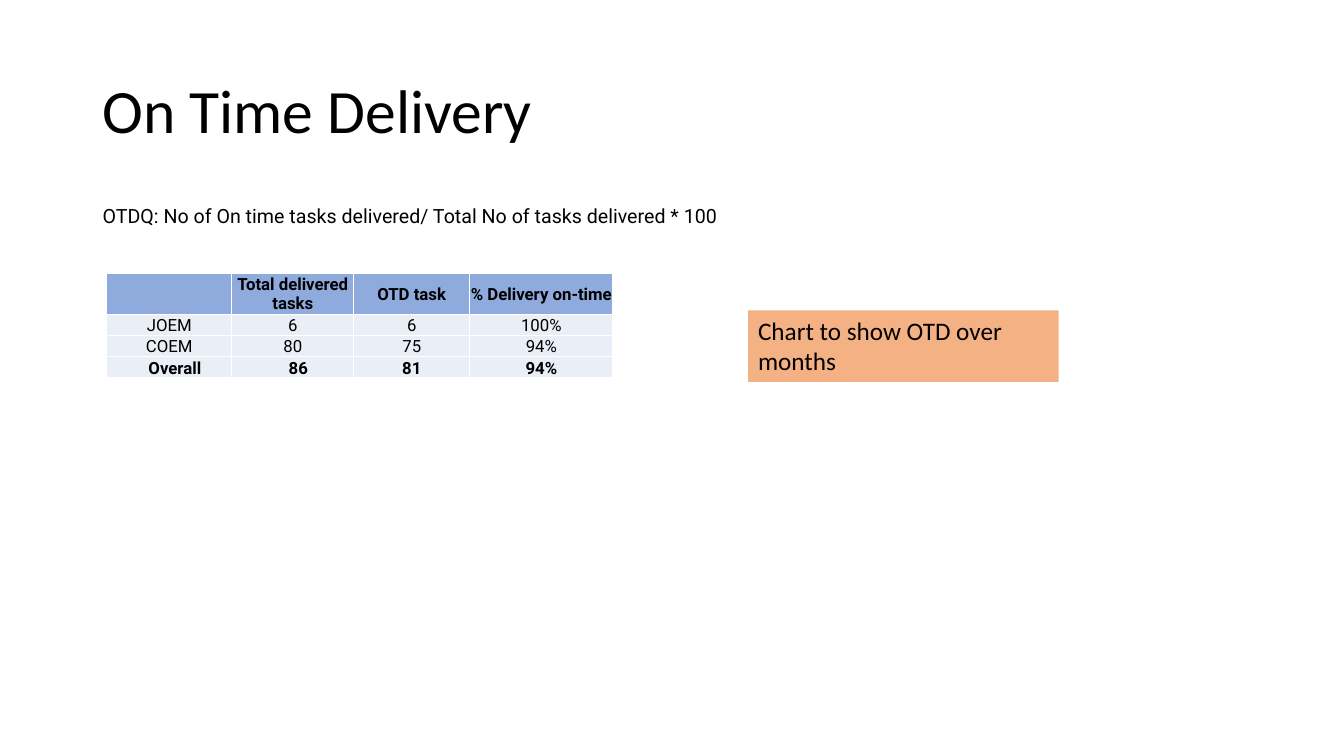
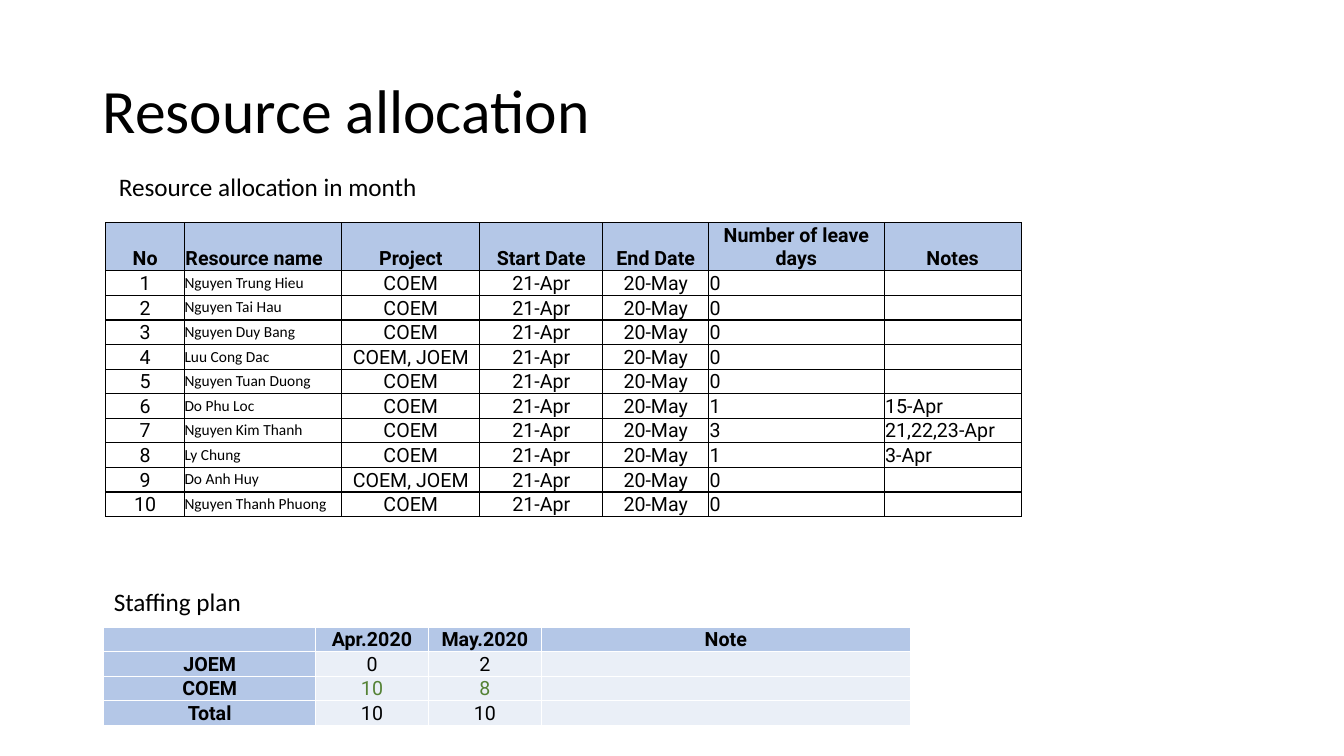
import pptx
import pptx.util
import pptx.dml.color
import pptx.enum.shapes
import pptx.enum.text
import pptx.oxml
import pptx.oxml.ns

Inches = pptx.util.Inches
ALIGN = pptx.enum.text.PP_ALIGN
ANCHOR = pptx.enum.text.MSO_ANCHOR

COLORS = {
    "text": "000000",
    "white": "FFFFFF",
    "header": "8FAADC",
    "light_header": "B4C7E7",
    "body": "EAEFF7",
    "callout": "F4B183",
    "green": "548235",
}
HEADING_FONT = "Calibri"
DATA_FONT = "Roboto"
TITLE_BOX = (0.92, 0.4, 11.5, 1.45)
FORMULA_BOX = (0.92, 2, 11.5, 0.7)
CELL_MARGINS = (0.01, 0.01, 0.01, 0)


def rgb(name):
    return pptx.dml.color.RGBColor.from_string(COLORS[name])


def add_span(para, text, size, font, color="text", bold=False):
    span = para.add_run()
    span.text = text
    span.font.size = pptx.util.Pt(size)
    span.font.name = font
    span.font.bold = bold
    span.font.color.rgb = rgb(color)


def add_text(page, box, text, size, font=HEADING_FONT, anchor=ANCHOR.TOP):
    frame = page.shapes.add_textbox(*map(Inches, box)).text_frame
    frame.word_wrap = True
    frame.vertical_anchor = anchor
    para = frame.paragraphs[0]
    add_span(para, text, size, font)
    return para


def add_title(page, text):
    para = add_text(page, TITLE_BOX, text, 44, anchor=ANCHOR.MIDDLE)
    para.line_spacing = 0.9


def add_callout(page, box, text):
    callout = page.shapes.add_shape(
        pptx.enum.shapes.MSO_SHAPE.RECTANGLE, *map(Inches, box))
    callout.shadow.inherit = False
    callout.fill.solid()
    callout.fill.fore_color.rgb = rgb("callout")
    callout.line.fill.background()
    callout.text_frame.word_wrap = True
    callout.text_frame.vertical_anchor = ANCHOR.TOP
    para = callout.text_frame.paragraphs[0]
    para.alignment = ALIGN.LEFT
    add_span(para, text, 18, HEADING_FONT)


def add_borders(cell, color):
    properties = cell._tc.get_or_add_tcPr()
    for side in ("lnL", "lnR", "lnT", "lnB"):
        properties.append(pptx.oxml.parse_xml(
            f'<a:{side} {pptx.oxml.ns.nsdecls("a")} w="12700"><a:solidFill>'
            f'<a:srgbClr val="{COLORS[color]}"/></a:solidFill></a:{side}>'))


def fill_cell(cell, text, border, fill=None, size=14, font=DATA_FONT, color="text",
              bold=False, align=ALIGN.CENTER, anchor=ANCHOR.BOTTOM, margins=CELL_MARGINS):
    add_borders(cell, border)
    if fill:
        cell.fill.solid()
        cell.fill.fore_color.rgb = rgb(fill)
    else:
        cell.fill.background()
    (cell.margin_left, cell.margin_top,
     cell.margin_right, cell.margin_bottom) = map(Inches, margins)
    cell.vertical_anchor = anchor
    para = cell.text_frame.paragraphs[0]
    para.alignment = align
    if text:
        add_span(para, text, size, font, color, bold)
    else:
        para._p.append(pptx.oxml.parse_xml(
            f'<a:endParaRPr {pptx.oxml.ns.nsdecls("a")} sz="{size * 100}">'
            f'<a:latin typeface="{font}"/></a:endParaRPr>'))


def add_grid(page, left, top, widths, heights, rows, border, cell_style):
    frame = page.shapes.add_table(
        len(rows), len(widths), Inches(left), Inches(top),
        Inches(sum(widths)), Inches(sum(heights)))
    table = frame.table
    table.first_row = False
    table.horz_banding = False
    for column, width in zip(table.columns, widths):
        column.width = Inches(width)
    for line, height in zip(table.rows, heights):
        line.height = Inches(height)
    for row, texts in enumerate(rows):
        for col, text in enumerate(texts):
            fill_cell(table.cell(row, col), text, border, **cell_style(row, col))


def delivery_style(row, col):
    if row == 0:
        return dict(fill="header", size=12, bold=True, anchor=ANCHOR.MIDDLE)
    style = dict(fill="body", size=12, bold=row == 3)
    if row == 3 and col < 2:
        style["margins"] = (0.12, 0.01, 0.01, 0)
    return style


def allocation_style(row, col):
    if row == 0:
        return dict(fill="light_header", bold=True,
                    align=ALIGN.LEFT if col == 1 else ALIGN.CENTER)
    if col == 1:
        return dict(size=11, font=HEADING_FONT, align=ALIGN.LEFT,
                    anchor=ANCHOR.MIDDLE, margins=(0, 0, 0, 0))
    return dict(align=ALIGN.LEFT if col > 4 else ALIGN.CENTER)


def staffing_style(row, col):
    if row == 0 or col == 0:
        return dict(fill="light_header", bold=True)
    return dict(fill="body", color="green" if row == 2 else "text")


def add_delivery_page(page):
    add_title(page, "On Time Delivery")
    formula = add_text(
        page, FORMULA_BOX,
        "OTDQ: No of On time tasks delivered/ Total No of tasks delivered * 100",
        14, DATA_FONT)
    formula.line_spacing = 0.9
    formula.space_before = pptx.util.Pt(10)
    rows = [
        ("", "Total delivered tasks", "OTD task", "% Delivery on-time"),
        ("JOEM", "6", "6", "100%"),
        ("COEM", "80", "75", "94%"),
        ("Overall", "86", "81", "94%"),
    ]
    add_grid(page, 1.06, 2.71, (1.24, 1.21, 1.15, 1.42), [0.41] + [0.21] * 3,
             rows, "white", delivery_style)
    add_callout(page, (7.42, 3.08, 3.08, 0.71), "Chart to show OTD over months")


def add_allocation_page(page):
    add_title(page, "Resource allocation")
    people = [
        ("Nguyen Trung Hieu", "COEM", "0", ""),
        ("Nguyen Tai Hau", "COEM", "0", ""),
        ("Nguyen Duy Bang", "COEM", "0", ""),
        ("Luu Cong Dac", "COEM, JOEM", "0", ""),
        ("Nguyen Tuan Duong", "COEM", "0", ""),
        ("Do Phu Loc", "COEM", "1", "15-Apr"),
        ("Nguyen Kim Thanh", "COEM", "3", "21,22,23-Apr"),
        ("Ly Chung", "COEM", "1", "3-Apr"),
        ("Do Anh Huy", "COEM, JOEM", "0", ""),
        ("Nguyen Thanh Phuong", "COEM", "0", ""),
    ]
    rows = [("No", "Resource name", "Project", "Start Date", "End Date",
             "Number of leave days", "Notes")]
    rows += [(str(number), name, project, "21-Apr", "20-May", leave, notes)
             for number, (name, project, leave, notes) in enumerate(people, 1)]
    add_grid(page, 1.05, 2.21, (0.78, 1.56, 1.37, 1.22, 1.05, 1.74, 1.36),
             [0.47] + [0.24] * len(people), rows, "text", allocation_style)
    staffing = [
        ("", "Apr.2020", "May.2020", "Note"),
        ("JOEM", "0", "2", ""),
        ("COEM", "10", "8", ""),
        ("Total", "10", "10", ""),
    ]
    add_grid(page, 1.03, 6.22, (2.1, 1.12, 1.12, 3.66), [0.24] * 4,
             staffing, "white", staffing_style)
    add_text(page, (1.03, 5.77, 4.48, 0.4), "Staffing plan", 18)
    add_text(page, (1.08, 1.65, 4.48, 0.4), "Resource allocation in month", 18)


def main():
    deck = pptx.Presentation()
    deck.slide_width = Inches(13.33)
    deck.slide_height = Inches(7.5)
    for build in (add_delivery_page, add_allocation_page):
        build(deck.slides.add_slide(deck.slide_layouts[6]))
    deck.save("out.pptx")


if __name__ == "__main__":
    main()
